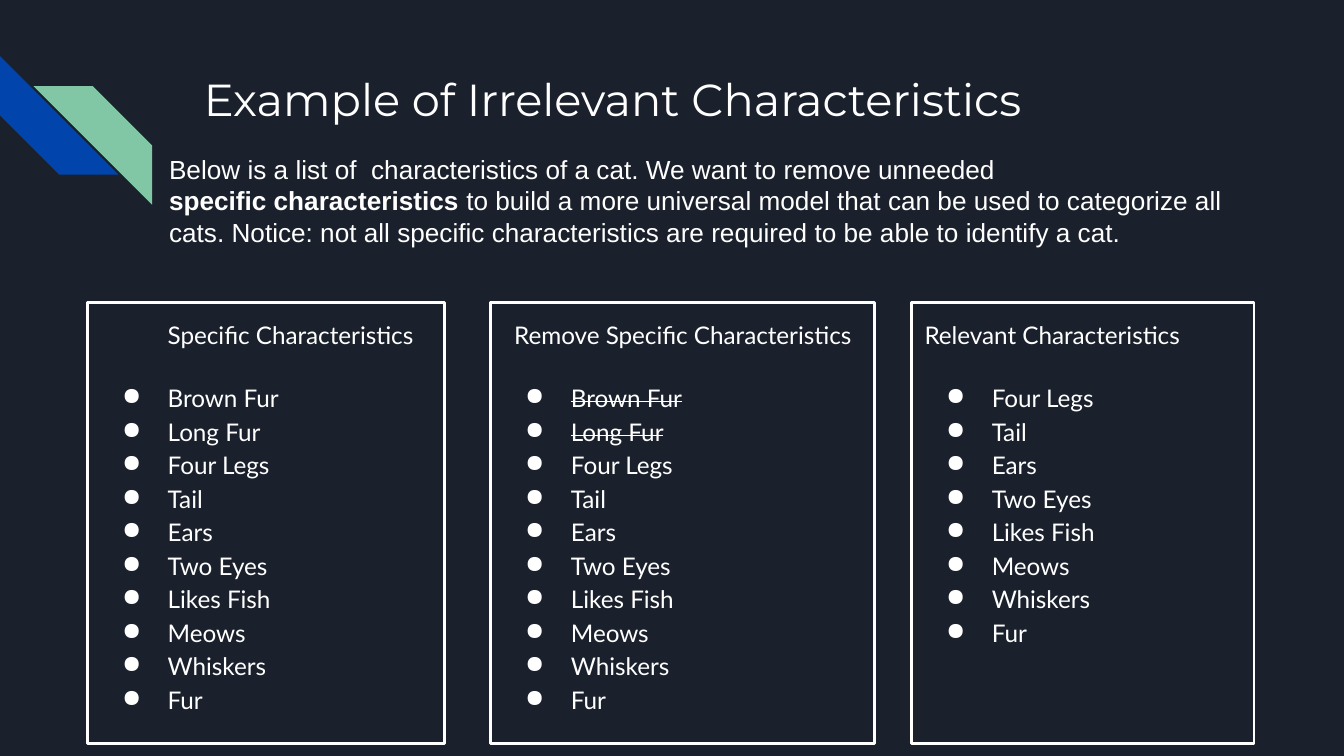
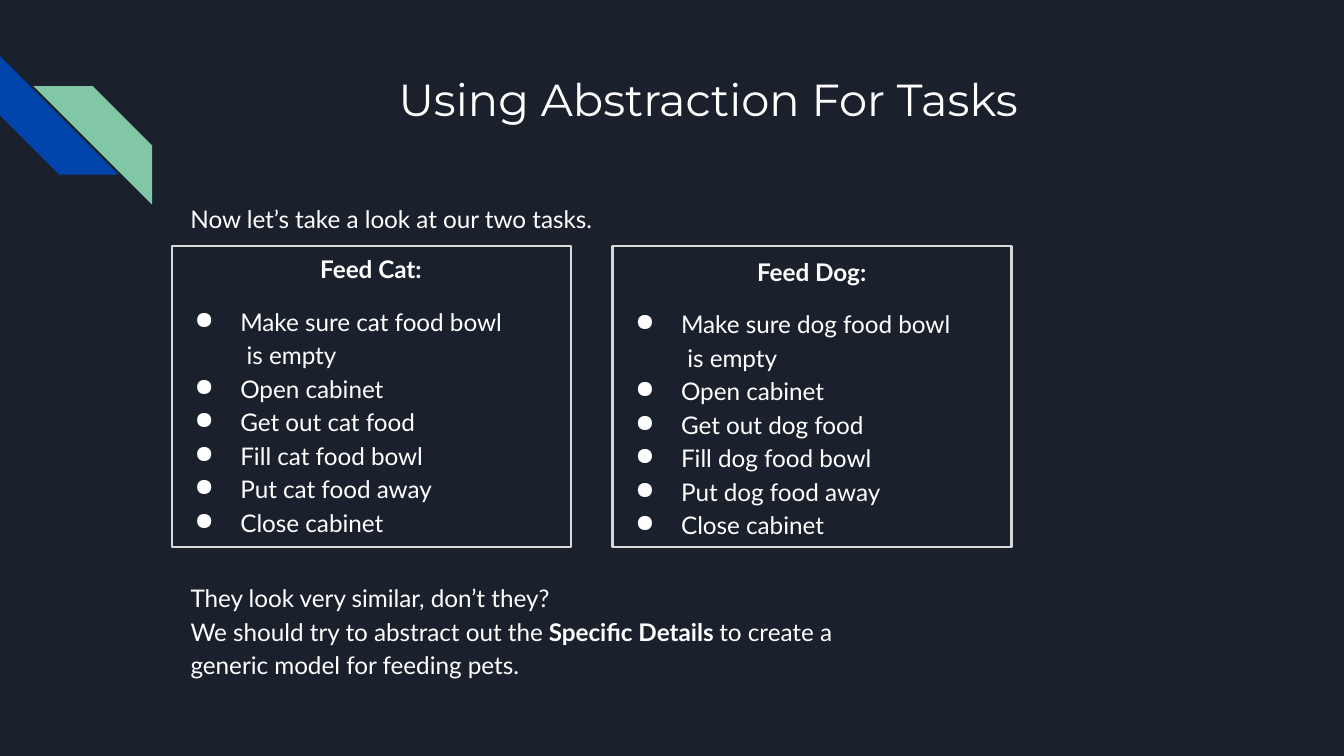
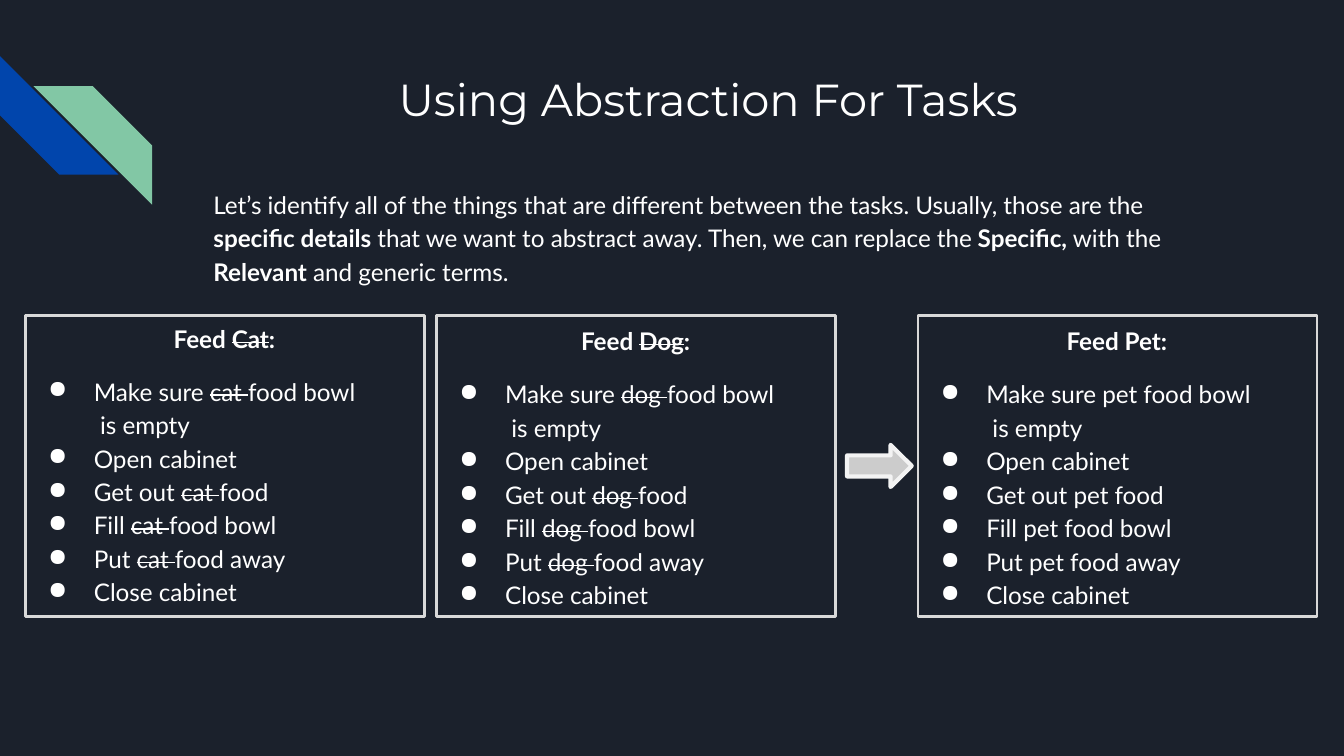
from dataclasses import dataclass, replace

from lxml.etree import SubElement
from pptx import Presentation
from pptx.dml.color import RGBColor
from pptx.enum.shapes import MSO_SHAPE as Preset
from pptx.enum.text import MSO_ANCHOR as Anchor, PP_ALIGN as Align
from pptx.oxml.ns import qn
from pptx.util import Pt

BACKGROUND, BLUE, GREEN = "1B212C", "0145AC", "82C7A5"
WHITE, PANEL_GRAY, ARROW_GRAY, ARROW_EDGE = "FFFFFF", "D9D9D9", "CCCCCC", "F3F3F3"
INSET = 7.2
TEXT_INDENT, BULLET_HANG = 36, 24.5


@dataclass(frozen=True)
class Area:
    left: float
    top: float
    width: float
    height: float

    def lengths(self):
        return [Pt(value) for value in (self.left, self.top, self.width, self.height)]


@dataclass(frozen=True)
class Style:
    font: str = "Lato"
    size: float = 13
    bold: bool = False
    align: Align = Align.LEFT
    spacing: float = 1.15
    before: float = 0
    indent: float = 0
    bullet: bool = False


@dataclass(frozen=True)
class Card:
    area: Area
    heading: str
    style: Style
    items: list[str]


@dataclass(frozen=True)
class Task:
    """A panel of steps for one pet; lift raises its text a little."""
    left: float
    pet: str
    struck: bool = False
    lift: float = 0


BODY = Style()
TITLE = Style(font="Montserrat", size=24, spacing=1)
CENTERED_TITLE = replace(TITLE, align=Align.CENTER)
INTRO = Style(font="Arial", size=14, spacing=1)
TASK_HEADING = Style(bold=True, align=Align.CENTER, spacing=1)
BULLET = Style(indent=TEXT_INDENT, bullet=True)
FIRST_BULLET = replace(BULLET, before=16)

TITLE_AREA = Area(102.2, 31, 554.4, 72)
PANEL_WIDTH, PANEL_HEIGHT = 213.8, 161.3

RELEVANT = ["Four Legs", "Tail", "Ears", "Two Eyes", "Likes Fish",
            "Meows", "Whiskers", "Fur"]
SPECIFIC = ["Brown Fur", "Long Fur"]
CARDS = [
    Card(Area(46.8, 162, 191.5, 236.2), "Specific Characteristics",
         Style(indent=TEXT_INDENT), SPECIFIC + RELEVANT),
    Card(Area(262.8, 162, 205.9, 236.2), "Remove Specific Characteristics",
         Style(align=Align.CENTER), [f"~{name}~" for name in SPECIFIC] + RELEVANT),
    Card(Area(488.2, 162, 183.6, 236.2), "Relevant Characteristics", BODY, RELEVANT),
]
STEPS = ["Make sure {}food bowl\n is empty", "Open cabinet", "Get out {}food",
         "Fill {}food bowl", "Put {}food away", "Close cabinet"]


def color(value: str) -> RGBColor:
    return RGBColor.from_string(value)


def add_marked_runs(para, text: str) -> None:
    """Write text in which *stars* mark bold, ~tildes~ strike and newlines break."""
    for star, chunk in enumerate(text.split("*")):
        for tilde, piece in enumerate(chunk.split("~")):
            for number, line in enumerate(piece.split("\n")):
                if number:
                    para.add_line_break()
                if not line:
                    continue
                span = para.add_run()
                span.text = line
                if star % 2:
                    span.font.bold = True
                if tilde % 2:
                    span.font._element.set("strike", "sngStrike")


def add_bullet(para) -> None:
    properties = para._p.get_or_add_pPr()
    bullet_color = SubElement(properties, qn("a:buClr"))
    SubElement(bullet_color, qn("a:srgbClr"), val=WHITE)
    SubElement(properties, qn("a:buChar"), char="●")


def write(shape, lines: list[tuple[str, Style]]) -> None:
    frame = shape.text_frame
    frame.word_wrap = True
    frame.vertical_anchor = Anchor.TOP
    frame.margin_left = frame.margin_right = Pt(INSET)
    frame.margin_top = frame.margin_bottom = Pt(INSET)
    for number, (text, style) in enumerate(lines):
        para = frame.add_paragraph() if number else frame.paragraphs[0]
        para.alignment = style.align
        para.line_spacing = style.spacing
        if style.before:
            para.space_before = Pt(style.before)
        properties = para._p.get_or_add_pPr()
        properties.set("marL", str(Pt(style.indent)))
        properties.set("indent", str(Pt(-BULLET_HANG if style.bullet else 0)))
        if style.bullet:
            add_bullet(para)
        para.font.name = style.font
        para.font.size = Pt(style.size)
        para.font.bold = style.bold
        para.font.color.rgb = color(WHITE)
        add_marked_runs(para, text)


def add_text(page, area: Area, lines: list[tuple[str, Style]]) -> None:
    write(page.shapes.add_textbox(*area.lengths()), lines)


def add_preset(page, preset: Preset, area: Area, fill: str | None = None,
               line: str | None = None, weight: float = 1.5):
    shape = page.shapes.add_shape(preset, *area.lengths())
    shape.shadow.inherit = False
    if fill:
        shape.fill.solid()
        shape.fill.fore_color.rgb = color(fill)
    else:
        shape.fill.background()
    if line:
        shape.line.color.rgb = color(line)
        shape.line.width = Pt(weight)
    else:
        shape.line.fill.background()
    return shape


def add_page(deck, title: str, style: Style):
    """Add a page with the shared background, corner stripes and title."""
    page = deck.slides.add_slide(deck.slide_layouts[6])
    page.background.fill.solid()
    page.background.fill.fore_color.rgb = color(BACKGROUND)
    blue_stripe = add_preset(page, Preset.DIAGONAL_STRIPE, Area(0, 30, 63.5, 63.5), BLUE)
    blue_stripe.rotation = 270
    green_stripe = add_preset(page, Preset.DIAGONAL_STRIPE, Area(18, 46.2, 63.5, 63.5), GREEN)
    green_stripe._element.spPr.xfrm.set("flipH", "1")
    add_text(page, TITLE_AREA, [(title, style)])
    return page


def add_card(page, card: Card) -> None:
    box = add_preset(page, Preset.RECTANGLE, card.area, line=WHITE)
    first, *others = card.items
    write(box, [(card.heading, card.style), (first, FIRST_BULLET),
                *((item, BULLET) for item in others)])


def add_task(page, task: Task, top: float) -> None:
    add_preset(page, Preset.RECTANGLE, Area(task.left, top, PANEL_WIDTH, PANEL_HEIGHT),
               line=PANEL_GRAY)
    mark = "~" if task.struck else ""
    name = f"{mark}{task.pet.title()}{mark}"
    food_owner = f"{mark}{task.pet} {mark}"
    left, text_top = task.left - 6.5, top - task.lift
    add_text(page, Area(left, text_top + 24.5, 226, 138.2),
             [(step.format(food_owner), BULLET) for step in STEPS])
    add_text(page, Area(left, text_top - 1.4, 226, 29.5), [(f"Feed {name}:", TASK_HEADING)])


def build_characteristics(deck) -> None:
    page = add_page(deck, "Example of Irrelevant Characteristics", TITLE)
    add_text(page, Area(83.5, 74.9, 587.5, 77), [(
        "Below is a list of  characteristics of a cat. We want to remove unneeded\n"
        "*specific characteristics *to build a more universal model that can be used to "
        "categorize all cats. Notice: not all specific characteristics are required to be "
        "able to identify a cat.", INTRO)])
    for card in CARDS:
        add_card(page, card)


def build_two_tasks(deck) -> None:
    page = add_page(deck, "Using Abstraction For Tasks", CENTERED_TITLE)
    add_text(page, Area(95, 100, 486.7, 29.5),
             [("Now let’s take a look at our two tasks.", BODY)])
    for task in (Task(92.2, "cat", lift=1.4), Task(328.3, "dog")):
        add_task(page, task, top=131.8)
    add_text(page, Area(95, 303.1, 370, 92.9), [(
        "They look very similar, don’t they?\nWe should try to abstract out the "
        "*Specific Details *to create a generic model for feeding pets.", BODY)])


def build_generic_task(deck) -> None:
    page = add_page(deck, "Using Abstraction For Tasks", CENTERED_TITLE)
    add_text(page, Area(107.3, 92.2, 554.4, 62.6), [(
        "Let’s identify all of the things that are different between the tasks. Usually, "
        "those are the *specific details* that we want to abstract away. Then, we can "
        "replace the *Specific, *with the *Relevant* and generic terms.", BODY)])
    tasks = [Task(13.7, "cat", struck=True, lift=1.4), Task(234, "dog", struck=True),
             Task(491.8, "pet")]
    for task in tasks:
        add_task(page, task, top=169.2)
    add_preset(page, Preset.RIGHT_ARROW, Area(453.8, 238.3, 34.6, 22.6),
               ARROW_GRAY, ARROW_EDGE, 2.25)


def main() -> None:
    deck = Presentation()
    deck.slide_width, deck.slide_height = Pt(720), Pt(405)
    build_characteristics(deck)
    build_two_tasks(deck)
    build_generic_task(deck)
    deck.save("out.pptx")


if __name__ == "__main__":
    main()
